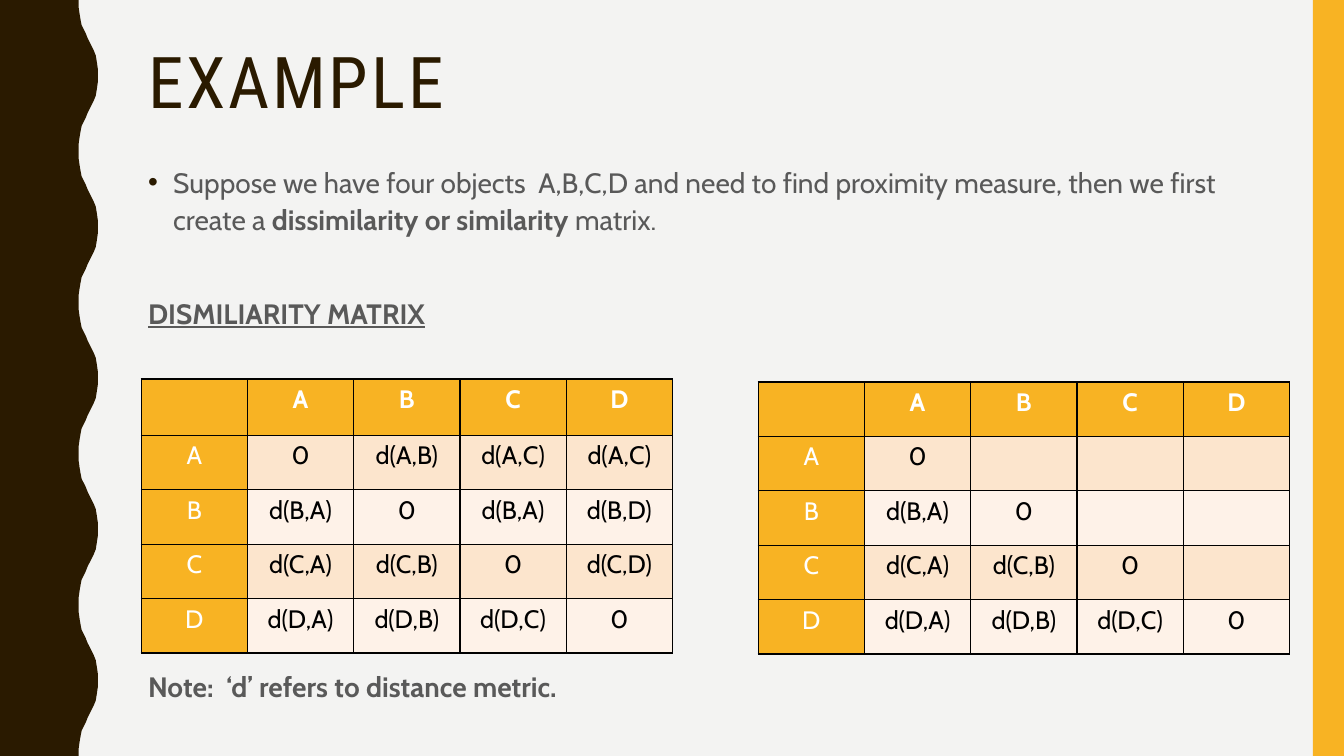
from lxml import etree
from pptx import Presentation
from pptx import util as u
from pptx.dml.color import RGBColor
from pptx.enum import shapes, text
from pptx.oxml import ns

BROWN = RGBColor(0x2A, 0x1A, 0x00)
AMBER = RGBColor(0xF8, 0xB3, 0x23)
PAPER = RGBColor(0xF3, 0xF3, 0xF2)
GRAY = RGBColor(0x59, 0x59, 0x59)
WHITE = RGBColor(0xFF, 0xFF, 0xFF)
BLACK = RGBColor(0x00, 0x00, 0x00)
PEACH = RGBColor(0xFC, 0xE5, 0xCD)
CREAM = RGBColor(0xFE, 0xF2, 0xE8)


def style(r, size, color, bold=False, name="Cabin"):
    r.font.size = u.Pt(size)
    r.font.name = name
    r.font.bold = bold
    r.font.color.rgb = color


def add_matrix(s, left, top, row_heights, rows):
    gf = s.shapes.add_table(5, 5, u.Inches(left), u.Inches(top),
                            u.Inches(5.27), u.Inches(sum(row_heights)))
    tbl = gf.table
    tbl.horz_banding = False
    for col in tbl.columns:
        col.width = u.Inches(5.27 / 5)
    for i, values in enumerate(rows):
        tbl.rows[i].height = u.Inches(row_heights[i])
        for j, value in enumerate(values):
            cell = tbl.cell(i, j)
            tcPr = cell._tc.get_or_add_tcPr()
            for side in ("lnL", "lnR", "lnT", "lnB"):
                ln = etree.SubElement(tcPr, ns.qn("a:" + side), w="12700")
                fill = etree.SubElement(ln, ns.qn("a:solidFill"))
                etree.SubElement(fill, ns.qn("a:srgbClr"), val=str(BLACK))
            header = i == 0 or j == 0
            cell.fill.solid()
            cell.fill.fore_color.rgb = AMBER if header else PEACH if i % 2 else CREAM
            if value:
                p = cell.text_frame.paragraphs[0]
                p.text = value
                p.alignment = text.PP_ALIGN.CENTER
                style(p.runs[0], 18, WHITE if header else BLACK, bold=i == 0)


prs = Presentation()
prs.slide_width = u.Inches(13.33)
prs.slide_height = u.Inches(7.5)
s = prs.slides.add_slide(prs.slide_layouts[6])
s.background.fill.solid()
s.background.fill.fore_color.rgb = PAPER

half_wave = [(0.78, 0), (0.78, 0.07), (0.79, 0.14), (0.8, 0.2), (0.81, 0.25),
             (0.83, 0.29), (0.85, 0.33), (0.87, 0.38), (0.89, 0.42),
             (0.91, 0.46), (0.93, 0.5), (0.95, 0.55), (0.96, 0.61),
             (0.97, 0.68), (0.97, 0.75)]
wave = half_wave + [(x, 1.5 - y) for x, y in half_wave[-2::-1]]
edge = [(x, y + 1.5 * n) for n in range(5) for x, y in wave]
builder = s.shapes.build_freeform(0, 0)
builder.add_line_segments([(u.Inches(x), u.Inches(y)) for x, y in edge + [(0, 7.5)]])
wavy_band = builder.convert_to_shape()
side_bar = s.shapes.add_shape(shapes.MSO_SHAPE.RECTANGLE, u.Inches(13.02), 0,
                              u.Inches(0.31), u.Inches(7.5))
for sp, color in ((wavy_band, BROWN), (side_bar, AMBER)):
    sp.shadow.inherit = False
    sp.fill.solid()
    sp.fill.fore_color.rgb = color
    sp.line.fill.background()

title = s.shapes.add_textbox(u.Inches(1.37), u.Inches(0.42), u.Inches(11.13), u.Inches(1.1))
tf = title.text_frame
tf.word_wrap = True
tf.text = "EXAMPLE"
p = tf.paragraphs[0]
p.line_spacing = 0.9
r = p.runs[0]
style(r, 51, BROWN, name="Roboto Condensed")
r._r.get_or_add_rPr().set("spc", "200")

body = s.shapes.add_textbox(u.Inches(1.37), u.Inches(1.56), u.Inches(11.13), u.Inches(5.52))
tf = body.text_frame
tf.word_wrap = True
paragraphs = [
    (0, [("Suppose we have four objects  A,B,C,D and need to find proximity measure, "
          "then we first create a ", False),
         ("dissimilarity or similarity ", True), ("matrix.", False)]),
    (40.5, [("DISMILIARITY MATRIX", True)]),
    (240.5, [("Note:  ‘d’ refers to distance metric.", True)]),
]
for n, (gap, runs) in enumerate(paragraphs):
    p = tf.add_paragraph() if n else tf.paragraphs[0]
    p.line_spacing = 1.1
    p.space_before = u.Pt(gap)
    for words, bold in runs:
        r = p.add_run()
        r.text = words
        style(r, 20, GRAY, bold)

pPr = tf.paragraphs[0]._p.get_or_add_pPr()
pPr.set("marL", str(u.Inches(0.25)))
pPr.set("indent", str(u.Inches(-0.25)))
bullet_color = etree.SubElement(pPr, ns.qn("a:buClr"))
etree.SubElement(bullet_color, ns.qn("a:srgbClr"), val=str(BROWN))
etree.SubElement(pPr, ns.qn("a:buFont"), typeface="Arial")
etree.SubElement(pPr, ns.qn("a:buChar"), char="•")
tf.paragraphs[1].runs[0].font.underline = True

full_matrix = [
    ["", "A", "B", "C", "D"],
    ["A", "0", "d(A,B)", "d(A,C)", "d(A,C)"],
    ["B", "d(B,A)", "0", "d(B,A)", "d(B,D)"],
    ["C", "d(C,A)", "d(C,B)", "0", "d(C,D)"],
    ["D", "d(D,A)", "d(D,B)", "d(D,C)", "0"],
]
lower_matrix = [full_matrix[0]] + [
    [value if j <= i else "" for j, value in enumerate(row)]
    for i, row in enumerate(full_matrix[1:], 1)]
add_matrix(s, 1.4, 3.76, [0.56] + [0.54] * 4, full_matrix)
add_matrix(s, 7.52, 3.79, [0.54] * 5, lower_matrix)

prs.save("out.pptx")
